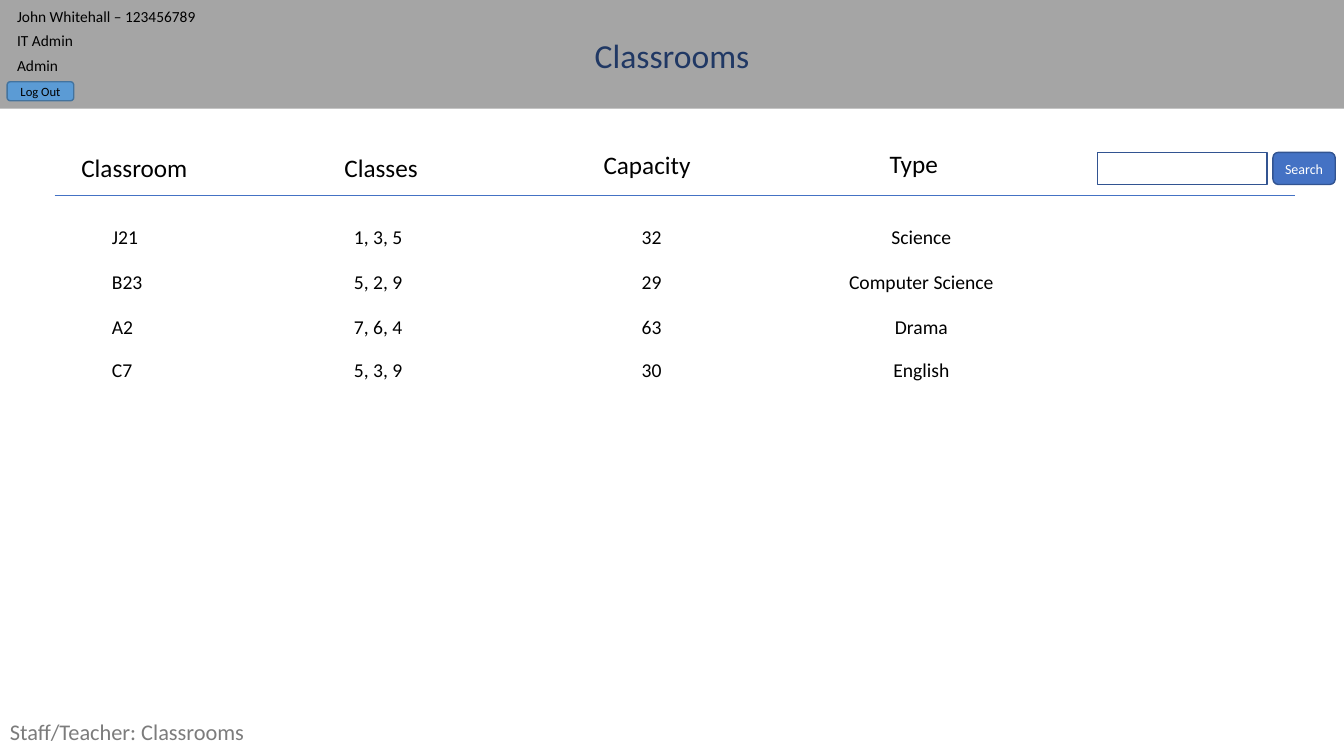
import dataclasses

import lxml.etree
import pptx
import pptx.dml.color
import pptx.enum.shapes
import pptx.enum.text
import pptx.oxml.ns
import pptx.util

Cm = pptx.util.Cm
Pt = pptx.util.Pt
SHAPE = pptx.enum.shapes.MSO_SHAPE
ALIGN = pptx.enum.text.PP_ALIGN
ANCHOR = pptx.enum.text.MSO_ANCHOR
FIT = pptx.enum.text.MSO_AUTO_SIZE


@dataclasses.dataclass(frozen=True)
class Theme:
    """Colours, type sizes and font of the classroom screen."""
    font: str = "Calibri"
    banner: str = "A5A5A5"
    ink: str = "000000"
    title_ink: str = "203864"
    footer_ink: str = "7C7C7C"
    white: str = "FFFFFF"
    accent: str = "4472C4"
    accent_edge: str = "325491"
    logout: str = "5B9BD5"
    logout_edge: str = "43739E"
    title: int = 24
    heading: int = 18
    footer: int = 16
    row: int = 14
    account: int = 11
    search: int = 10
    small: int = 9


THEME = Theme()
PAGE_WIDTH, PAGE_HEIGHT = 33.87, 19.05
ACCOUNT = [("John Whitehall – 123456789", 0.05, 6.53), ("IT Admin", 0.66, 5.23), ("Admin", 1.3, 2.44)]
HEADINGS = [("Classroom", 1.8, 3.71, 3.2), ("Classes", 8.43, 3.71, 3.15),
            ("Capacity", 14.96, 3.63, 2.82), ("Type", 22.17, 3.61, 2.39)]
CLASSROOMS = [(5.54, "J21", "1, 3, 5", "32", "Science"),
              (6.68, "B23", "5, 2, 9", "29", "Computer Science"),
              (7.82, "A2", "7, 6, 4", "63", "Drama"),
              (8.89, "C7", "5, 3, 9", "30", "English")]
COLUMN_STOPS = [(1.55, "l"), (7.65, "l"), (14.9, "l"), (21.95, "ctr")]


def rgb(code):
    """Turn a hex code into a colour."""
    return pptx.dml.color.RGBColor.from_string(code)


def apply(target, values):
    """Set every format value on the target."""
    for name, value in values.items():
        setattr(target, name, value)


def write(holder, words, size, ink, frame_format, paragraph_format):
    """Write one formatted paragraph into a shape and return it."""
    frame = holder.text_frame
    apply(frame, {"word_wrap": True, **frame_format})
    paragraph = frame.paragraphs[0]
    apply(paragraph, paragraph_format)
    run = paragraph.add_run()
    apply(run, {"text": words})
    apply(run.font, {"name": THEME.font, "size": Pt(size)})
    run.font.color.rgb = rgb(ink)
    return paragraph


def add_label(shapes, words, place, size, ink=THEME.ink, frame_format=None, **paragraph_format):
    """Add a text box that fits its words and return its paragraph."""
    label = shapes.add_textbox(*map(Cm, place))
    frame_format = frame_format or {"auto_size": FIT.SHAPE_TO_FIT_TEXT}
    return write(label, words, size, ink, frame_format, paragraph_format)


def add_panel(shapes, kind, place, fill=None, edge=None):
    """Add a flat preset shape with optional fill and edge."""
    panel = shapes.add_shape(kind, *map(Cm, place))
    panel.shadow.inherit = False
    if fill:
        panel.fill.solid()
        panel.fill.fore_color.rgb = rgb(fill)
    else:
        panel.fill.background()
    if edge:
        panel.line.color.rgb = rgb(edge)
        panel.line.width = Pt(1)
    else:
        panel.line.fill.background()
    return panel


def add_button(shapes, words, place, fill, edge, size, ink):
    """Add a rounded button with a centred caption."""
    button = add_panel(shapes, SHAPE.ROUNDED_RECTANGLE, place, fill, edge)
    margins = dict.fromkeys(("margin_left", "margin_right", "margin_top", "margin_bottom"), 0)
    write(button, words, size, ink, {"vertical_anchor": ANCHOR.MIDDLE, **margins},
          {"alignment": ALIGN.CENTER})


def add_rule(shapes, left, right, top):
    """Add the thin rule under the headings."""
    rule = shapes.add_connector(pptx.enum.shapes.MSO_CONNECTOR.STRAIGHT,
                                Cm(left), Cm(top), Cm(right), Cm(top))
    rule.line.color.rgb = rgb(THEME.accent)
    rule.line.width = Pt(0.5)
    lxml.etree.SubElement(rule._element.spPr, pptx.oxml.ns.qn("a:effectLst"))


def add_classroom(shapes, top, cells):
    """Add one classroom row aligned on the column tab stops."""
    row = add_label(shapes, "\t" + "\t".join(cells), (1.02, top, 31.62, 0.86), THEME.row)
    qn = pptx.oxml.ns.qn
    stops = lxml.etree.SubElement(row._p.get_or_add_pPr(), qn("a:tabLst"))
    for position, align in COLUMN_STOPS:
        lxml.etree.SubElement(stops, qn("a:tab"), pos=str(int(Cm(position))), algn=align)


def add_banner(shapes):
    """Add the grey banner with the account details and log out button."""
    banner = shapes.add_group_shape().shapes
    add_panel(banner, SHAPE.RECTANGLE, (0, 0, PAGE_WIDTH, 2.74), THEME.banner)
    for words, top, width in ACCOUNT:
        add_label(banner, words, (0.18, top, width, 0.74), THEME.account)
    add_button(banner, "Log Out", (0.18, 2.06, 1.68, 0.48), THEME.logout,
               THEME.logout_edge, THEME.small, THEME.ink)


def add_search(shapes):
    """Add the search field and its button."""
    search = shapes.add_group_shape().shapes
    add_panel(search, SHAPE.RECTANGLE, (27.66, 3.84, 4.27, 0.81), edge=THEME.accent_edge)
    add_button(search, "Search", (32.08, 3.84, 1.57, 0.81), THEME.accent,
               THEME.accent_edge, THEME.search, THEME.white)


def main():
    """Build the classroom list slide and save it."""
    deck = pptx.Presentation()
    apply(deck, {"slide_width": Cm(PAGE_WIDTH), "slide_height": Cm(PAGE_HEIGHT)})
    shapes = deck.slides.add_slide(deck.slide_layouts[6]).shapes
    add_banner(shapes)
    add_rule(shapes, 1.38, 32.63, 4.92)
    for words, left, top, width in HEADINGS:
        add_label(shapes, words, (left, top, width, 1.02), THEME.heading)
    add_search(shapes)
    for top, *cells in CLASSROOMS:
        add_classroom(shapes, top, cells)
    add_label(shapes, "Classrooms", (0, 0.76, PAGE_WIDTH, 1.28), THEME.title,
              THEME.title_ink, alignment=ALIGN.CENTER)
    add_label(shapes, "Staff/Teacher: Classrooms", (0, 17.91, 6.68, 1.14), THEME.footer,
              THEME.footer_ink, {"vertical_anchor": ANCHOR.MIDDLE}, line_spacing=0.9)
    deck.save("out.pptx")


main()
